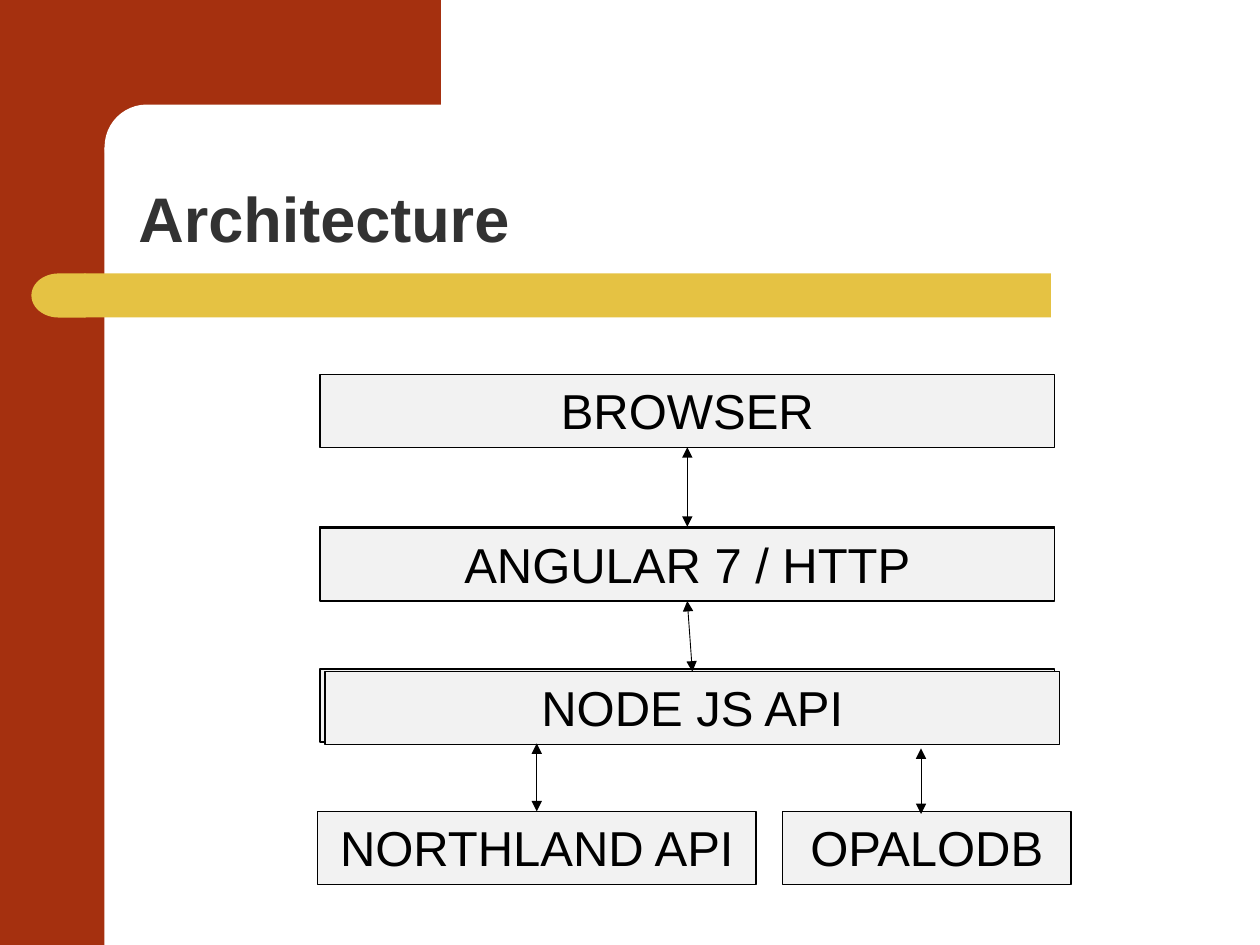
from lxml import etree
from pptx import Presentation, util as u
from pptx.dml.color import RGBColor
from pptx.enum import shapes, text
from pptx.oxml.ns import qn

COLORS = {"rust": "A5300F", "gold": "E5C243", "white": "FFFFFF",
          "title": "323232", "box": "F2F2F2", "black": "000000"}
FONT = "Arial"
BOTTOM, TOP = 2, 0
KIND = shapes.MSO_SHAPE


def color(name):
    return RGBColor.from_string(COLORS[name])


def add_block(slide, kind, left, top, width, height, fill, outline=None):
    """Add a preset shape; all lengths are in inches."""
    block = slide.shapes.add_shape(kind, *map(u.Inches, (left, top, width, height)))
    block.shadow.inherit = False
    block.fill.solid()
    block.fill.fore_color.rgb = color(fill)
    if outline:
        block.line.color.rgb = color(outline)
        block.line.width = u.Pt(0.75)
    else:
        block.line.fill.background()
    return block


def add_words(paragraph, words, size, ink, bold=False):
    run = paragraph.add_run()
    run.text = words
    run.font.name = FONT
    run.font.size = u.Pt(size)
    run.font.bold = bold
    run.font.color.rgb = color(ink)


def add_layer(slide, left, top, width, height, label=None):
    """Add one architecture box, with or without its label."""
    layer = add_block(slide, KIND.RECTANGLE, left, top, width, height, "box", "black")
    if label:
        layer.text_frame.word_wrap = True
        layer.text_frame.vertical_anchor = text.MSO_ANCHOR.TOP
        paragraph = layer.text_frame.paragraphs[0]
        paragraph.alignment = text.PP_ALIGN.CENTER
        paragraph.space_before = u.Pt(7)
        add_words(paragraph, label, 28, "black")
    return layer


def add_arrow(slide, x, start_y, end_y, upper=None, lower=None):
    """Add a two-headed arrow, joined to the boxes that are given."""
    arrow = slide.shapes.add_connector(
        shapes.MSO_CONNECTOR.STRAIGHT,
        u.Inches(x), u.Inches(start_y), u.Inches(x), u.Inches(end_y))
    arrow.line.color.rgb = color("black")
    arrow.line.width = u.Pt(0.5)
    line = arrow.line._get_or_add_ln()
    for end in ("a:headEnd", "a:tailEnd"):
        etree.SubElement(line, qn(end), type="triangle")
    etree.SubElement(arrow._element.spPr, qn("a:effectLst"))
    if upper is not None:
        arrow.begin_connect(upper, BOTTOM)
    if lower is not None:
        arrow.end_connect(lower, TOP)


def draw_frame(slide, left, top, width, height):
    """Draw the rust corner and the gold bar."""
    add_block(slide, KIND.RECTANGLE, left, top, 0.83, height, "rust")
    add_block(slide, KIND.RECTANGLE, left + 0.75, top, 2.75, 1.17, "rust")
    curve = add_block(slide, KIND.ROUNDED_RECTANGLE, left + 0.83, top + 0.83,
                      5.58, 0.67, "white")
    curve.adjustments[0] = 0.5
    bar_top, bar_height = top + 2.17, 0.35
    add_block(slide, KIND.RECTANGLE, left + 0.67, bar_top,
              width - 2.33, bar_height, "gold")
    cap = add_block(slide, KIND.FLOWCHART_DELAY, left + 0.25, bar_top,
                    0.43, bar_height, "gold")
    cap._element.spPr.xfrm.set("flipH", "1")


def draw_title(slide, left, top, width, height):
    title = slide.shapes.add_textbox(*map(u.Inches, (left, top, width, height)))
    title.text_frame.word_wrap = True
    title.text_frame.vertical_anchor = text.MSO_ANCHOR.BOTTOM
    paragraph = title.text_frame.paragraphs[0]
    paragraph.line_spacing = 0.9
    add_words(paragraph, "Architecture", 36, "title", bold=True)


def draw_architecture(slide, left, top, width, height):
    """Draw the stack of layers; the bottom one holds two services."""
    layer_height = 0.58
    client_top, node_top = top + 1.22, top + 2.36
    service_top = top + height - layer_height

    browser = add_layer(slide, left, top, width, layer_height, "BROWSER")
    client_back = add_layer(slide, left, client_top - 0.01, width, layer_height)
    add_layer(slide, left, node_top - 0.02, width, layer_height)
    client = add_layer(slide, left, client_top, width, layer_height,
                       "ANGULAR 7 / HTTP")
    node = add_layer(slide, left + 0.04, node_top, width, layer_height,
                     "NODE JS API")
    bank = add_layer(slide, left - 0.02, service_top, 3.48, layer_height,
                     "NORTHLAND API")
    add_layer(slide, left + 3.67, service_top, 2.29, layer_height, "OPALODB")

    middle = left + width / 2
    add_arrow(slide, middle, top + layer_height, client_top, browser, client_back)
    add_arrow(slide, middle, client_top + layer_height, node_top, client, node)
    add_arrow(slide, left + 1.72, top + 2.93, service_top, lower=bank)
    add_arrow(slide, left + 4.77, top + 2.97, service_top + 0.02)


def main():
    deck = Presentation()
    deck.slide_width, deck.slide_height = u.Inches(10), u.Inches(7.5)
    slide = deck.slides.add_slide(deck.slide_layouts[6])
    draw_frame(slide, 0, 0, 10, 7.5)
    draw_title(slide, 1, 0.83, 8.75, 1.25)
    draw_architecture(slide, 2.54, 2.97, 5.83, 4.05)
    deck.save("out.pptx")


if __name__ == "__main__":
    main()
